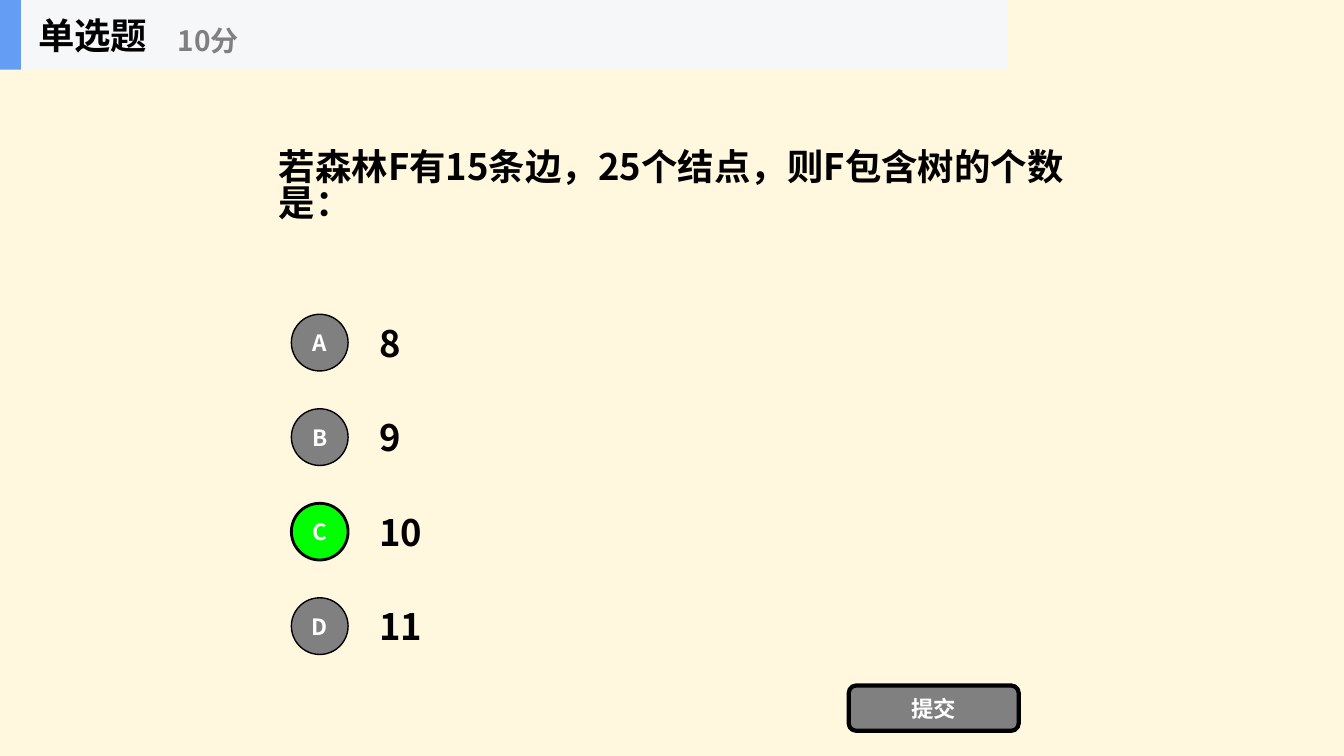
from dataclasses import dataclass
from typing import Optional

from lxml import etree
from pptx import Presentation
from pptx.dml.color import RGBColor
from pptx.enum.shapes import MSO_SHAPE
from pptx.enum.text import MSO_ANCHOR, PP_ALIGN
from pptx.oxml.ns import qn
from pptx.util import Inches, Pt

RECT = MSO_SHAPE.RECTANGLE
ROUND = MSO_SHAPE.ROUNDED_RECTANGLE
OVAL = MSO_SHAPE.OVAL
MIDDLE = MSO_ANCHOR.MIDDLE
LEFT = PP_ALIGN.LEFT
CENTER = PP_ALIGN.CENTER

FONT = "Noto Sans CJK SC"
BLACK, GRAY, WHITE, GREEN = "000000", "808080", "FFFFFF", "00FF00"
CREAM, PALE, BLUE = "FFF7DE", "F6F7F8", "639EF4"

WIDTH, HEIGHT = Inches(13.33), Inches(7.5)
HEADER_HEIGHT = 9.2
OPTION_TOP, OPTION_HEIGHT, OPTION_PITCH = 40.63, 9.38, 12.5
BADGE_WIDTH, BADGE_HEIGHT = 4.22, 7.5


@dataclass
class Area:
    x: float
    y: float
    w: float
    h: float

    def emu(self) -> tuple[int, int, int, int]:
        return (int(WIDTH * self.x / 100), int(HEIGHT * self.y / 100),
                int(WIDTH * self.w / 100), int(HEIGHT * self.h / 100))


@dataclass
class Label:
    area: Area
    text: str
    size: int = 26
    color: str = BLACK
    spacing: float = 1.0


@dataclass
class Block:
    kind: MSO_SHAPE
    area: Area
    fill: str
    line: int = 0
    text: Optional[str] = None


@dataclass
class Option:
    letter: str
    answer: str
    fill: str = GRAY
    line: int = 1


OPTIONS = [
    Option("A", "8"),
    Option("B", "9"),
    Option("C", "10", GREEN, 2),
    Option("D", "11"),
]
QUESTION = Label(Area(20, 9.2, 60, 31.2),
                 "若森林F有15条边，25个结点，则F包含树的个数是：", spacing=0.83)
SUBMIT = Block(ROUND, Area(63.15, 90.67, 12.65, 6), GRAY, 3, "提交")
HEADER = [
    Block(RECT, Area(0, 0, 75, HEADER_HEIGHT), PALE),
    Block(RECT, Area(0, 0, 1.56, HEADER_HEIGHT), BLUE),
]
HEADER_LABELS = [
    Label(Area(2.1, 0, 15.6, HEADER_HEIGHT), "单选题"),
    Label(Area(12.5, 1.6, 18.75, 7.47), "10分", 20, GRAY),
]


def rgb(color: str) -> RGBColor:
    return RGBColor.from_string(color)


def write(s, text: str, size: int, color: str, align: PP_ALIGN, spacing: float = 1.0) -> None:
    tf = s.text_frame
    tf.word_wrap = True
    tf.vertical_anchor = MIDDLE
    p = tf.paragraphs[0]
    p.alignment = align
    p.line_spacing = spacing
    r = p.add_run()
    r.text = text
    for name, value in {"name": FONT, "size": Pt(size), "bold": True}.items():
        setattr(r.font, name, value)
    r.font.color.rgb = rgb(color)
    etree.SubElement(r.font._element, qn("a:ea"), typeface=FONT)


def add_label(sl, label: Label) -> None:
    s = sl.shapes.add_textbox(*label.area.emu())
    write(s, label.text, label.size, label.color, LEFT, label.spacing)


def add_block(sl, block: Block) -> None:
    s = sl.shapes.add_shape(block.kind, *block.area.emu())
    s.shadow.inherit = False
    s.fill.solid()
    s.fill.fore_color.rgb = rgb(block.fill)
    if block.line:
        s.line.color.rgb = rgb(BLACK)
        s.line.width = Pt(block.line)
    else:
        s.line.fill.background()
    if block.text:
        for side in ("left", "right", "top", "bottom"):
            setattr(s.text_frame, f"margin_{side}", 0)
        write(s, block.text, 16, WHITE, CENTER)


def add_option(sl, row: int, option: Option) -> None:
    y = OPTION_TOP + row * OPTION_PITCH
    badge_y = y + (OPTION_HEIGHT - BADGE_HEIGHT) / 2
    add_label(sl, Label(Area(27.5, y, 52.5, OPTION_HEIGHT), option.answer))
    add_block(sl, Block(OVAL, Area(21.68, badge_y, BADGE_WIDTH, BADGE_HEIGHT),
                        option.fill, option.line, option.letter))


def main() -> None:
    prs = Presentation()
    prs.slide_width, prs.slide_height = WIDTH, HEIGHT
    sl = prs.slides.add_slide(prs.slide_layouts[6])
    sl.background.fill.solid()
    sl.background.fill.fore_color.rgb = rgb(CREAM)
    add_label(sl, QUESTION)
    for row, option in enumerate(OPTIONS):
        add_option(sl, row, option)
    for block in [SUBMIT, *HEADER]:
        add_block(sl, block)
    for label in HEADER_LABELS:
        add_label(sl, label)
    prs.save("out.pptx")


if __name__ == "__main__":
    main()
